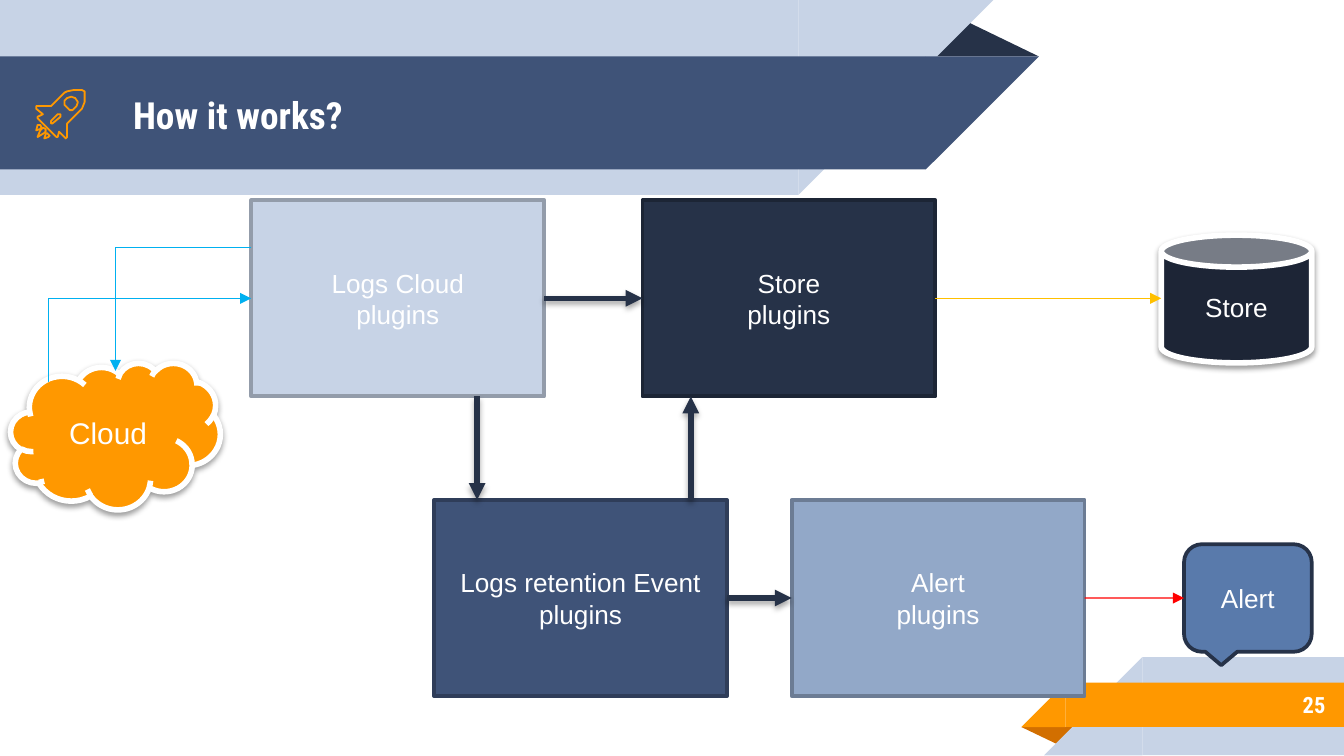
from lxml.etree import SubElement
from pptx import Presentation
from pptx.dml.color import RGBColor
from pptx.enum.shapes import MSO_CONNECTOR, MSO_SHAPE
from pptx.enum.text import MSO_ANCHOR, PP_ALIGN
from pptx.oxml.ns import qn
from pptx.util import Inches, Pt

COLS, ROWS = 100, 56.25
WIDTH = Inches(10)
UNIT = WIDTH / COLS
NAVY, BLUE, PALE, ORANGE, WHITE = "263248", "3F5378", "C7D3E6", "FF9800", "FFFFFF"
HEADING = "Roboto Condensed"

ROCKET = [
    [
        [(23, 35), (23, 25), (34, 14), (36, 9), (36, 1), (34, 0), (28, 0),
         (23, 1), (21, 2), (11, 12), (0, 12), (0, 14), (5, 18), (1, 20),
         (1, 21), (15, 35), (16, 35), (17, 31), (22, 36)],
        [(12, 25), (11, 25), (11, 23), (16, 18), (18, 18), (18, 20)],
        [(27, 15), (25, 15), (21, 11), (21, 8), (23, 6), (26, 5), (29, 6),
         (31, 9), (30, 12)],
    ],
    [[(7, 29), (5, 28), (3, 30), (1, 35), (6, 32), (7, 31)]],
    [[(9, 33), (8, 32), (7, 33), (6, 36), (9, 35), (10, 34)]],
    [[(3, 26), (1, 26), (0, 30), (3, 29), (4, 28)]],
]


def rgb(color):
    """Turn a hex string into a colour."""
    return RGBColor.from_string(color)


def grid(*cells):
    """Turn grid units into slide lengths."""
    return [int(c * UNIT) for c in cells]


def add_shadow(sp, alpha=None, dist=0):
    """Replace the theme shadow with a soft downward one, or with none."""
    effects = SubElement(sp._element.spPr, qn("a:effectLst"))
    if alpha:
        outer = SubElement(effects, qn("a:outerShdw"), blurRad=str(Pt(3.1)),
                           dist=str(Pt(dist)), dir="5400000", rotWithShape="0")
        color = SubElement(outer, qn("a:srgbClr"), val="000000")
        SubElement(color, qn("a:alpha"), val=str(alpha * 1000))


def add_text(sp, lines, size, align, font="Arial", bold=False):
    """Write white lines, one paragraph each, centred vertically."""
    tf = sp.text_frame
    tf.word_wrap = True
    tf.vertical_anchor = MSO_ANCHOR.MIDDLE
    for i, line in enumerate(lines):
        p = tf.add_paragraph() if i else tf.paragraphs[0]
        p.alignment = align
        r = p.add_run()
        r.text = line
        r.font.name, r.font.size, r.font.bold = font, Pt(size), bold
        r.font.color.rgb = rgb(WHITE)


def set_insets(sp):
    """Give a text frame equal insets of one grid unit."""
    tf = sp.text_frame
    tf.margin_left = tf.margin_right = tf.margin_top = tf.margin_bottom = grid(1)[0]


def add_solid(s, kind, box, fill, line=None, width=2, shadow=None):
    """Add a filled shape with an optional outline and shadow."""
    sp = s.shapes.add_shape(kind, *grid(*box))
    sp.fill.solid()
    sp.fill.fore_color.rgb = rgb(fill)
    if line:
        sp.line.color.rgb = rgb(line)
        sp.line.width = Pt(width)
    else:
        sp.line.fill.background()
    if shadow:
        add_shadow(sp, *shadow)
    else:
        sp.shadow.inherit = False
    return sp


def add_band(s, box, fill, header):
    """Add a bar with a slanted end: right in the header, left in the footer."""
    x, y, w, h = box
    bar_x, slant_x = (x, x + w - h) if header else (x + h, x)
    add_solid(s, MSO_SHAPE.RECTANGLE, (bar_x, y, w - h, h), fill)
    slant = add_solid(s, MSO_SHAPE.RIGHT_TRIANGLE, (slant_x, y, h, h), fill)
    slant._element.spPr.xfrm.set("flipH", "1")
    slant.rotation = 180 if header else 0


def add_fold(s, box, fill, rotation):
    """Add the dark fold behind a ribbon."""
    fold = add_solid(s, MSO_SHAPE.ISOSCELES_TRIANGLE, box, fill)
    fold.adjustments[0] = 0.32
    fold.rotation = rotation


def add_rocket(s, x, y):
    """Outline the rocket and its flames."""
    for contours in ROCKET:
        builder = s.shapes.build_freeform(*contours[0][0], scale=UNIT / 10)
        for i, points in enumerate(contours):
            if i:
                builder.move_to(*points[0])
            builder.add_line_segments(points[1:], close=True)
        sp = builder.convert_to_shape(*grid(x, y))
        sp.fill.background()
        sp.line.color.rgb = rgb(ORANGE)
        sp.line.width = Pt(0.96)
        sp.shadow.inherit = False


def add_header(s, box, text):
    """Place the header ribbon, its title and its icon."""
    x, y, w, h = box
    add_fold(s, (x + w - 8.5, y + 1.4, 8.5, 2.8), NAVY, 0)
    add_band(s, (x, y, w - 3.4, h), PALE, True)
    add_band(s, (x, y + 4.2, w, 8.4), BLUE, True)
    title = s.shapes.title
    title.left, title.top, title.width, title.height = grid(x + 8.9, y + 4.3, 57.5, 8.4)
    s.shapes._spTree.append(title._element)
    set_insets(title)
    add_text(title, [text], 20, PP_ALIGN.LEFT, HEADING, True)
    add_rocket(s, x + 2.7, y + 6.7)


def add_footer(s, box, number):
    """Place the footer ribbon and the slide number."""
    x, y, w, h = box
    add_fold(s, (x, y + 5.2, 4.3, 1.4), "D26F00", 180)
    add_band(s, (x + 1.7, y, w - 1.7, h), PALE, False)
    add_band(s, (x, y + 1.9, w, 3.3), ORANGE, False)
    sp = s.shapes.add_textbox(*grid(x + 7.3, y + 1.8, 16.3, 3.5))
    set_insets(sp)
    add_text(sp, [number], 12, PP_ALIGN.RIGHT, HEADING, True)


def add_arrow(s, color, start, end, width=0.75, shadow=None, kind="line",
              begin=None, finish=None, arrow="tailEnd", bend=None):
    """Draw an arrow between two points, joined to the given shapes."""
    style = MSO_CONNECTOR.STRAIGHT if kind == "line" else MSO_CONNECTOR.ELBOW
    c = s.shapes.add_connector(style, *grid(*start, *end))
    if begin:
        c.begin_connect(*begin)
    if finish:
        c.end_connect(*finish)
    geometry = c._element.spPr.find(qn("a:prstGeom"))
    geometry.set("prst", kind)
    if bend:
        SubElement(geometry.find(qn("a:avLst")), qn("a:gd"), name="adj1", fmla=f"val {bend}")
    c.line.color.rgb = rgb(color)
    c.line.width = Pt(width)
    SubElement(c.line._get_or_add_ln(), qn(f"a:{arrow}"), type="triangle")
    add_shadow(c, *(shadow or ()))


def add_diagram(s, box):
    """Place the plugins, their surroundings and the flows between them."""
    x, y, w, h = box
    bw, bh = 21.8, 14.6
    low = y + h - bh
    mid, low_mid = y + bh / 2, low + bh / 2
    plugins = [
        ("Logs Cloud", 18.7, y, PALE, "939CAA"),
        ("Store", 47.8, y, NAVY, "1C2535"),
        ("Logs retention Event", 32.3, low, BLUE, "2F3D59"),
        ("Alert", 58.9, low, "92A8C8", "6C7C94"),
    ]
    boxes = []
    for name, left, top, fill, line in plugins:
        sp = add_solid(s, MSO_SHAPE.RECTANGLE, (x + left, top, bw, bh), fill, line)
        add_text(sp, [name, "plugins"], 14, PP_ALIGN.CENTER)
        boxes.append(sp)
    logs, store, retention, alert = boxes

    thick = {"width": 3, "shadow": (35, 1.8)}
    add_arrow(s, NAVY, (x + 40.5, mid), (x + 47.8, mid), begin=(logs, 3), finish=(store, 1), **thick)
    add_arrow(s, NAVY, (x + 35.5, y + bh), (x + 35.5, low), **thick)
    add_arrow(s, NAVY, (x + 51.4, low), (x + 51.4, y + bh), **thick)
    add_arrow(s, NAVY, (x + 54.1, low_mid), (x + 58.9, low_mid),
              begin=(retention, 3), finish=(alert, 1), **thick)

    cloud = add_solid(s, MSO_SHAPE.CLOUD, (x + 0.8, y + 12.1, 15.6, 10.9), ORANGE, WHITE, 3, (38, 1.6))
    add_text(cloud, ["Cloud"], 16, PP_ALIGN.CENTER)
    can = add_solid(s, MSO_SHAPE.CAN, (x + 86.4, y + 2.6, 11.2, 9.5), "1D2536", WHITE, 3, (38, 1.6))
    add_text(can, ["Store"], 14, PP_ALIGN.CENTER)
    add_arrow(s, "00B0F0", (x + 18.7, y + 3.5), (x + 8.6, y + 12.7), kind="bentConnector2")
    add_arrow(s, "00B0F0", (x + 18.7, mid), (x + 3.6, y + 13.5), kind="bentConnector3",
              begin=(logs, 1), arrow="headEnd", bend=99900)
    add_arrow(s, "FFC000", (x + 69.6, mid), (x + 86.4, mid), begin=(store, 3))
    callout = add_solid(s, MSO_SHAPE.ROUNDED_RECTANGULAR_CALLOUT,
                        (x + 88.1, y + 25.6, 9.5, 8), "597AAB", NAVY)
    add_text(callout, ["Alert"], 14, PP_ALIGN.CENTER)
    add_arrow(s, "FF0000", (x + 80.7, low_mid), (x + 88.1, low_mid),
              begin=(alert, 3), finish=(callout, 1))


def main():
    """Build and save the slide."""
    prs = Presentation()
    prs.slide_width, prs.slide_height = WIDTH, grid(ROWS)[0]
    s = prs.slides.add_slide(prs.slide_layouts[5])
    add_header(s, (0, 0, 77.3, 14.5), "How it works?")
    add_footer(s, (76, 48.9, 24, 7.3), "25")
    add_diagram(s, (0, 14.9, 100, 36.9))
    prs.save("out.pptx")


if __name__ == "__main__":
    main()
